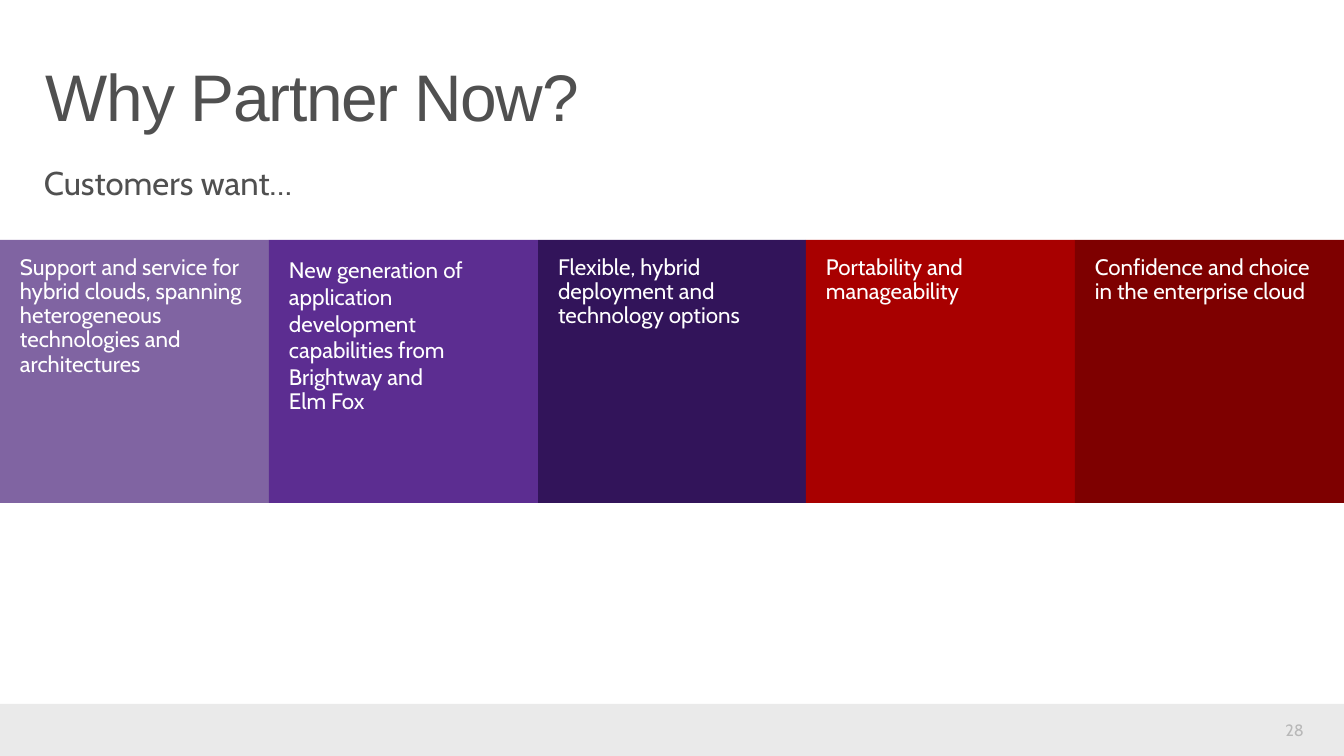
from dataclasses import dataclass

from pptx import Presentation
from pptx.dml.color import RGBColor
from pptx.enum.shapes import MSO_SHAPE
from pptx.enum.text import MSO_ANCHOR, PP_ALIGN
from pptx.util import Emu, Pt

SLIDE_WIDTH, SLIDE_HEIGHT = 1344, 756
EMU_PER_PX = 914400 / 134.4


def px(length):
    return Emu(round(length * EMU_PER_PX))


@dataclass(frozen=True)
class Theme:
    heading_font: str = "Arial"
    body_font: str = "Cabin"
    ink: str = "505050"
    white: str = "FFFFFF"
    footer: str = "EAEAEA"
    number: str = "B8B8B8"
    panels: tuple = ("8064A2", "5C2D91", "32145A", "A80000", "7E0000")
    title_size: float = 35.3
    subtitle_size: float = 17.6
    panel_size: float = 12
    number_size: float = 8.8
    tight: float = 0.9


class SlideBuilder:
    def __init__(self, slide, theme):
        self.slide = slide
        self.theme = theme

    def set_text(self, shape, lines, size, color, insets, font=None,
                 spacings=(None,), align=PP_ALIGN.LEFT, anchor=MSO_ANCHOR.TOP,
                 tracking=None):
        text_frame = shape.text_frame
        text_frame.word_wrap = True
        text_frame.vertical_anchor = anchor
        horizontal, vertical = map(px, insets)
        text_frame.margin_left = text_frame.margin_right = horizontal
        text_frame.margin_top = text_frame.margin_bottom = vertical
        text_frame.text = "\n".join(lines)
        for paragraph, spacing in zip(text_frame.paragraphs, spacings):
            paragraph.alignment = align
            paragraph.line_spacing = spacing
            for run in paragraph.runs:
                run.font.name = font or self.theme.body_font
                run.font.size = Pt(size)
                run.font.color.rgb = RGBColor.from_string(color)
                if tracking is not None:
                    run._r.get_or_add_rPr().set("spc", str(tracking))

    def text(self, box, line, size, color, insets, **style):
        shape = self.slide.shapes.add_textbox(*map(px, box))
        self.set_text(shape, [line], size, color, insets, **style)

    def rectangle(self, box, color):
        shape = self.slide.shapes.add_shape(MSO_SHAPE.RECTANGLE, *map(px, box))
        shape.shadow.inherit = False
        shape.fill.solid()
        shape.fill.fore_color.rgb = RGBColor.from_string(color)
        shape.line.fill.background()
        return shape

    def panel(self, box, color, lines, spacings):
        shape = self.rectangle(box, color)
        self.set_text(shape, lines, self.theme.panel_size, self.theme.white,
                      (20, 16), spacings=spacings)


def main():
    presentation = Presentation()
    presentation.slide_width = px(SLIDE_WIDTH)
    presentation.slide_height = px(SLIDE_HEIGHT)
    theme = Theme()
    slide = presentation.slides.add_slide(presentation.slide_layouts[6])
    builder = SlideBuilder(slide, theme)
    tight = (theme.tight,)

    builder.rectangle((0, 704, SLIDE_WIDTH, 52), theme.footer)
    builder.text((1215, 720, 98, 20), "28", theme.number_size, theme.number,
                 (9, 5), align=PP_ALIGN.RIGHT, anchor=MSO_ANCHOR.MIDDLE)
    builder.text((24, 151, 848, 71), "Customers want…", theme.subtitle_size,
                 theme.ink, (20, 16), spacings=tight)
    builder.text((30, 56, 1285, 99), "Why Partner Now?", theme.title_size,
                 theme.ink, (16, 9), font=theme.heading_font, spacings=tight,
                 tracking=-70)

    wants = [
        (["Support and service for hybrid clouds, spanning heterogeneous "
          "technologies and architectures"], tight),
        (["New generation of application development capabilities from "
          "Brightway and", "Elm Fox"], (None, theme.tight)),
        (["Flexible, hybrid deployment and technology options"], tight),
        (["Portability and manageability"], tight),
        (["Confidence and choice in the enterprise cloud"], tight),
    ]
    edges = [round(SLIDE_WIDTH * index / len(wants))
             for index in range(len(wants) + 1)]
    for left, right, color, (lines, spacings) in zip(
            edges, edges[1:], theme.panels, wants):
        builder.panel((left, 240, right - left, 263), color, lines, spacings)

    presentation.save("out.pptx")


if __name__ == "__main__":
    main()
